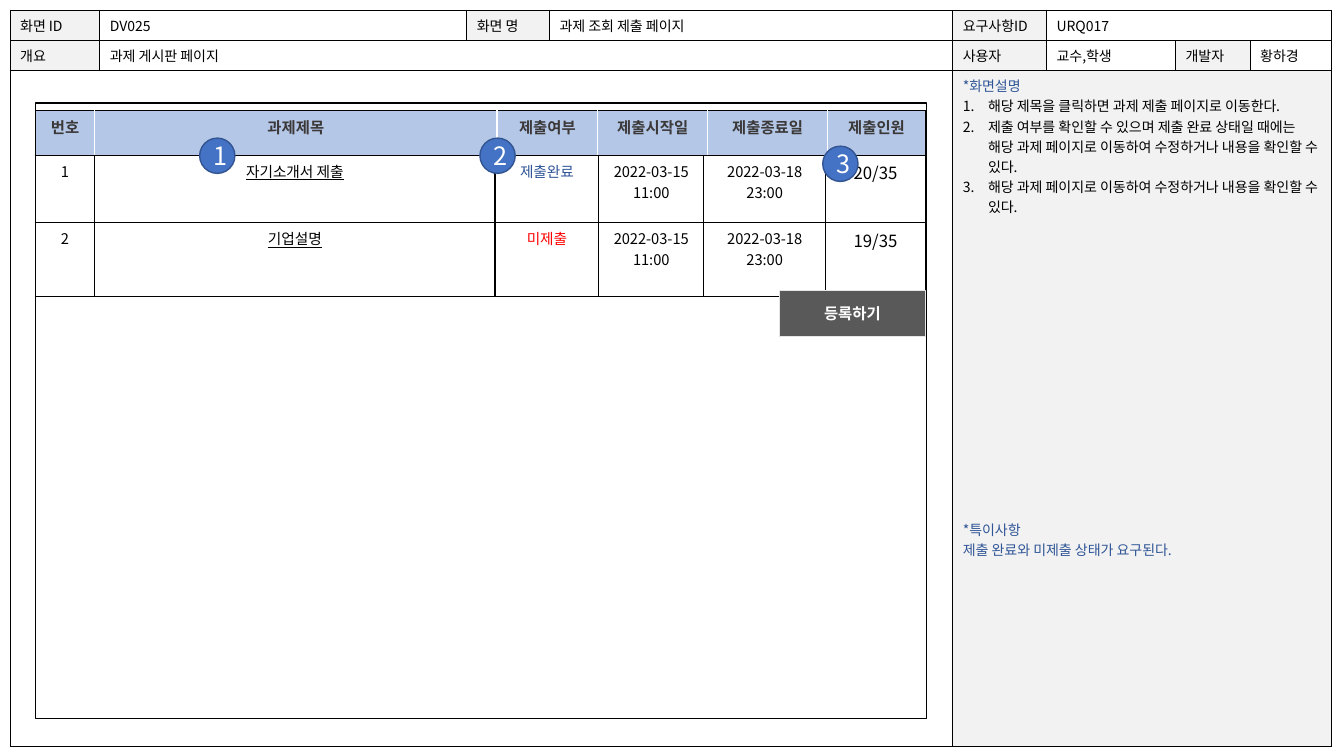
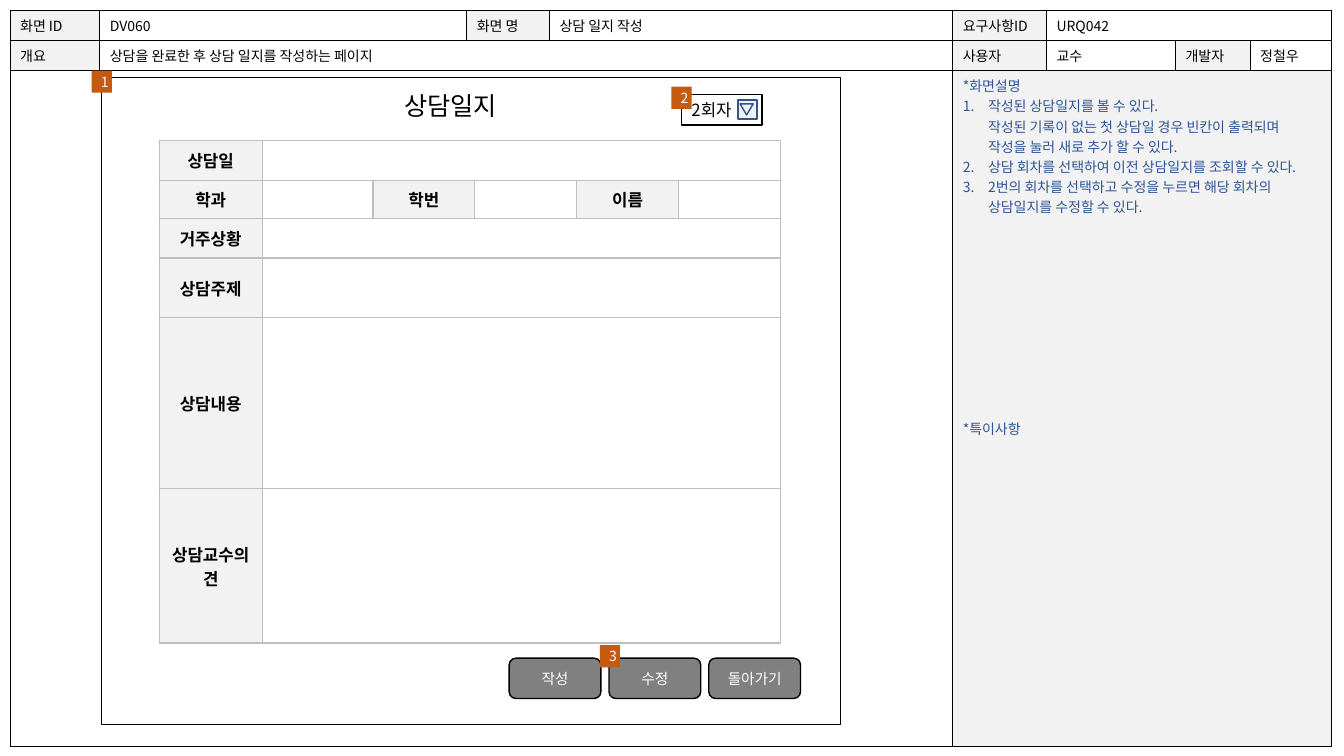
from dataclasses import dataclass

import lxml.etree
import pptx
import pptx.dml.color
import pptx.enum.shapes
import pptx.enum.text
import pptx.oxml.ns
import pptx.presentation
import pptx.shapes.autoshape
import pptx.slide
import pptx.table
import pptx.text.text
import pptx.util

Inches = pptx.util.Inches
Pt = pptx.util.Pt
qn = pptx.oxml.ns.qn
SHAPE = pptx.enum.shapes.MSO_SHAPE
ALIGN = pptx.enum.text.PP_ALIGN
ANCHOR = pptx.enum.text.MSO_ANCHOR

FONT = "Noto Sans CJK KR"
COLORS = {
    "black": "000000", "white": "FFFFFF", "panel": "F2F2F2", "note": "2F5597",
    "header": "B4C7E7", "header_text": "3B3838", "red": "FF0000",
    "circle": "4472C4", "circle_line": "325491", "submit": "595959",
    "submit_line": "E7E6E6", "button": "808080", "grid": "BFBFBF", "tag": "C55A11",
}
SIDES = ("L", "R", "T", "B")
FRAME_COLUMNS = (0.89, 3.64, 0.82, 4, 0.93, 1.28, 0.74, 0.81)
FRAME_ROWS = (0.28, 0.29, 6.7)


@dataclass(frozen=True)
class Style:
    size: float = 10
    color: str = "black"
    bold: bool = False
    underline: bool = False


@dataclass(frozen=True)
class Area:
    left: float
    top: float
    width: float
    height: float


@dataclass(frozen=True)
class Look:
    shape: SHAPE
    fill: str
    line: str | None
    style: Style = Style()
    left_margin: float = 0.1
    right_margin: float = 0.1
    align: ALIGN = ALIGN.CENTER


@dataclass(frozen=True)
class Screen:
    code: str
    name: str
    summary: str
    requirement: str
    users: str
    developer: str
    steps: tuple[str, ...]
    step_color: str
    remark_gap: float
    remarks: tuple[str, ...]


@dataclass(frozen=True)
class Assignment:
    number: str
    title: str
    status: str
    status_color: str
    start: str
    end: str
    count: str


CIRCLE = Look(SHAPE.OVAL, "circle", "circle_line", Style(18, "white"), 0.06, 0)
TAG = Look(SHAPE.RECTANGLE, "tag", None, Style(10, "white"), 0.06, 0)
PANEL = Look(SHAPE.RECTANGLE, "white", "black")
SUBMIT = Look(SHAPE.RECTANGLE, "submit", "submit_line", Style(11, "white", True))
BUTTON = Look(SHAPE.ROUNDED_RECTANGLE, "button", "black", Style(10.5, "white"))
PICKER = Look(SHAPE.RECTANGLE, "white", "black", Style(12), align=ALIGN.LEFT)
ARROW_BOX = Look(SHAPE.RECTANGLE, "panel", "circle_line")
ARROW = Look(SHAPE.ISOSCELES_TRIANGLE, "panel", "circle_line")

ASSIGNMENT_SCREEN = Screen(
    "DV025", "과제 조회 제출 페이지", "과제 게시판 페이지", "URQ017", "교수,학생", "황하경",
    (
        "해당 제목을 클릭하면 과제 제출 페이지로 이동한다.",
        "제출 여부를 확인할 수 있으며 제출 완료 상태일 때에는 해당 과제 페이지로 이동하여 수정하거나 내용을 확인할 수 있다.",
        "해당 과제 페이지로 이동하여 수정하거나 내용을 확인할 수 있다.",
    ),
    "black", 216, ("제출 완료와 미제출 상태가 요구된다.",),
)
COUNSEL_SCREEN = Screen(
    "DV060", "상담 일지 작성", "상담을 완료한 후 상담 일지를 작성하는 페이지", "URQ042", "교수", "정철우",
    (
        "작성된 상담일지를 볼 수 있다.\n작성된 기록이 없는 첫 상담일 경우 빈칸이 출력되며\n작성을 눌러 새로 추가 할 수 있다.",
        "상담 회차를 선택하여 이전 상담일지를 조회할 수 있다.",
        "2번의 회차를 선택하고 수정을 누르면 해당 회차의 상담일지를 수정할 수 있다.",
    ),
    "note", 144, (),
)
ASSIGNMENTS = (
    Assignment("1", "자기소개서 제출", "제출완료", "note", "2022-03-15 11:00", "2022-03-18 23:00", "20/35"),
    Assignment("2", "기업설명", "미제출", "red", "2022-03-15 11:00", "2022-03-18 23:00", "19/35"),
)
ASSIGNMENT_HEADERS = ("번호", "과제제목", "제출여부", "제출시작일", "제출종료일", "제출인원")
COUNSEL_ROWS = (
    ("상담일",), ("학과", "학번", "이름"), ("거주상황",), ("상담주제",), ("상담내용",), ("상담교수의견",),
)


def rgb(name: str) -> pptx.dml.color.RGBColor:
    return pptx.dml.color.RGBColor.from_string(COLORS[name])


def add_text(para: pptx.text.text._Paragraph, text: str, style: Style) -> None:
    for index, line in enumerate(text.split("\n")):
        if index:
            para.add_line_break()
            mark = lxml.etree.SubElement(para._p[-1], qn("a:rPr"))
            mark.set("sz", str(int(style.size * 100)))
        span = para.add_run()
        span.text = line
        span.font.size = Pt(style.size)
        span.font.bold = style.bold
        span.font.underline = style.underline
        span.font.color.rgb = rgb(style.color)
        span.font.name = FONT
        east_asian = lxml.etree.SubElement(span.font._element, qn("a:ea"))
        east_asian.set("typeface", FONT)


def add_box(page: pptx.slide.Slide, look: Look, area: Area, text: str = "") -> pptx.shapes.autoshape.Shape:
    box = page.shapes.add_shape(
        look.shape, Inches(area.left), Inches(area.top), Inches(area.width), Inches(area.height)
    )
    box.shadow.inherit = False
    box.fill.solid()
    box.fill.fore_color.rgb = rgb(look.fill)
    if look.line:
        box.line.color.rgb = rgb(look.line)
        box.line.width = Pt(1)
    else:
        box.line.fill.background()
    if text:
        frame = box.text_frame
        frame.word_wrap = False
        frame.vertical_anchor = ANCHOR.MIDDLE
        frame.margin_left = Inches(look.left_margin)
        frame.margin_right = Inches(look.right_margin)
        frame.paragraphs[0].alignment = look.align
        add_text(frame.paragraphs[0], text, look.style)
    return box


def set_borders(cell: pptx.table._Cell, colors: dict[str, str], width: float) -> None:
    properties = cell._tc.get_or_add_tcPr()
    for side in SIDES:
        line = lxml.etree.SubElement(properties, qn(f"a:ln{side}"), w=str(Pt(width)))
        fill = lxml.etree.SubElement(line, qn("a:solidFill"))
        lxml.etree.SubElement(fill, qn("a:srgbClr"), val=COLORS[colors[side]])


def add_grid(
    page: pptx.slide.Slide, left: float, top: float, columns: tuple[float, ...],
    rows: tuple[float, ...], border: str, width: float, inner: str | None = None,
) -> pptx.table.Table:
    table = page.shapes.add_table(
        len(rows), len(columns), Inches(left), Inches(top), Inches(sum(columns)), Inches(sum(rows))
    ).table
    table.first_row = False
    table.horz_banding = False
    for column, size in zip(table.columns, columns):
        column.width = Inches(size)
    last = len(columns) - 1
    for row, size in zip(table.rows, rows):
        row.height = Inches(size)
        for index, cell in enumerate(row.cells):
            colors = dict.fromkeys(SIDES, border)
            if inner and index > 0:
                colors["L"] = inner
            if inner and index < last:
                colors["R"] = inner
            set_borders(cell, colors, width)
            cell.fill.solid()
            cell.fill.fore_color.rgb = rgb("white")
            cell.margin_top = cell.margin_bottom = 0
    return table


def fill_cell(
    cell: pptx.table._Cell, text: str, style: Style, fill: str = "white",
    align: ALIGN = ALIGN.CENTER, anchor: ANCHOR = ANCHOR.TOP,
) -> None:
    cell.fill.fore_color.rgb = rgb(fill)
    cell.margin_top = cell.margin_bottom = Inches(0.05)
    cell.vertical_anchor = anchor
    para = cell.text_frame.paragraphs[0]
    para.alignment = align
    add_text(para, text, style)


def add_notes(cell: pptx.table._Cell, screen: Screen) -> None:
    fill_cell(cell, "*화면설명", Style(color="note"), "panel", ALIGN.LEFT)
    frame = cell.text_frame
    for step in screen.steps:
        para = frame.add_paragraph()
        properties = para._p.get_or_add_pPr()
        properties.set("marL", str(Inches(0.25)))
        properties.set("indent", str(Inches(-0.25)))
        lxml.etree.SubElement(properties, qn("a:buAutoNum"), type="arabicPeriod")
        add_text(para, step, Style(color=screen.step_color))
    for index, remark in enumerate(("*특이사항", *screen.remarks)):
        para = frame.add_paragraph()
        if index == 0:
            para.space_before = Pt(screen.remark_gap)
        add_text(para, remark, Style(color="note"))


def add_screen(deck: pptx.presentation.Presentation, layout: int, screen: Screen) -> pptx.slide.Slide:
    page = deck.slides.add_slide(deck.slide_layouts[layout])
    table = add_grid(page, 0.1, 0.1, FRAME_COLUMNS, FRAME_ROWS, "black", 0.5)
    for row, first, last in ((0, 5, 7), (1, 1, 3), (2, 0, 3), (2, 4, 7)):
        table.cell(row, first).merge(table.cell(row, last))
    fields = (
        (0, 0, "화면 ID", screen.code), (0, 2, "화면 명", screen.name),
        (0, 4, "요구사항ID", screen.requirement), (1, 0, "개요", screen.summary),
        (1, 4, "사용자", screen.users), (1, 6, "개발자", screen.developer),
    )
    for row, column, label, value in fields:
        fill_cell(table.cell(row, column), label, Style(), "panel", ALIGN.LEFT)
        fill_cell(table.cell(row, column + 1), value, Style(), align=ALIGN.LEFT)
    add_notes(table.cell(2, 4), screen)
    return page


def build_assignments(deck: pptx.presentation.Presentation) -> None:
    page = add_screen(deck, 6, ASSIGNMENT_SCREEN)
    add_box(page, PANEL, Area(0.35, 1.02, 8.84, 6.11))
    header = add_grid(page, 0.35, 1.1, (0.59, 3.99, 1, 1.09, 1.19, 0.97), (0.44,), "black", 1, "white")
    for column, label in enumerate(ASSIGNMENT_HEADERS):
        fill_cell(header.cell(0, column), label, Style(11, "header_text", True), "header")
    body = add_grid(page, 0.35, 1.54, (0.59, 3.97, 1.03, 1.04, 1.21, 0.99), (0.67, 0.73), "black", 1)
    plain = Style(10.5)
    for row, item in enumerate(ASSIGNMENTS):
        values = (
            (item.number, plain), (item.title, Style(10.5, underline=True)),
            (item.status, Style(10.5, item.status_color)),
            (item.start, plain), (item.end, plain), (item.count, Style(12)),
        )
        for column, (text, style) in enumerate(values):
            fill_cell(body.cell(row, column), text, style)
    for number, (left, top) in enumerate(((1.98, 1.37), (4.76, 1.37), (8.16, 1.45)), 1):
        add_box(page, CIRCLE, Area(left, top, 0.35, 0.35), str(number))
    add_box(page, SUBMIT, Area(7.73, 2.88, 1.45, 0.46), "등록하기")


def place_title(page: pptx.slide.Slide, text: str, area: Area) -> None:
    title = page.shapes.title
    title.left, title.top = Inches(area.left), Inches(area.top)
    title.width, title.height = Inches(area.width), Inches(area.height)
    frame = title.text_frame
    frame.auto_size = pptx.enum.text.MSO_AUTO_SIZE.NONE
    frame.word_wrap = False
    frame.vertical_anchor = ANCHOR.TOP
    frame.paragraphs[0].alignment = ALIGN.LEFT
    add_text(frame.paragraphs[0], text, Style(18))
    title.element.getparent().append(title.element)


def build_counsel(deck: pptx.presentation.Presentation) -> None:
    page = add_screen(deck, 5, COUNSEL_SCREEN)
    add_box(page, PANEL, Area(1.01, 0.77, 7.33, 6.42))
    place_title(page, "상담일지", Area(3.91, 0.85, 1.21, 0.4))
    form = add_grid(
        page, 1.58, 1.39, (1.02, 1.1, 1.01, 1.01, 1.01, 1.01), (0.4, 0.38, 0.39, 0.59, 1.7, 1.53), "grid", 1
    )
    for row, labels in enumerate(COUNSEL_ROWS):
        if len(labels) == 1:
            form.cell(row, 1).merge(form.cell(row, 5))
        for index, label in enumerate(labels):
            fill_cell(form.cell(row, index * 2), label, Style(12, bold=True), "panel", anchor=ANCHOR.MIDDLE)
    for index, label in enumerate(("작성", "수정", "돌아가기")):
        add_box(page, BUTTON, Area(5.05 + index * 0.99, 6.53, 0.91, 0.4), label)
    add_box(page, PICKER, Area(6.76, 0.94, 0.8, 0.3), "2회자")
    add_box(page, ARROW_BOX, Area(7.32, 0.99, 0.19, 0.19))
    add_box(page, ARROW, Area(7.34, 1.03, 0.13, 0.11)).rotation = 180
    for number, (left, top) in enumerate(((0.91, 0.7), (6.66, 0.86), (5.95, 6.4)), 1):
        add_box(page, TAG, Area(left, top, 0.2, 0.22), str(number))


def main() -> None:
    deck = pptx.Presentation()
    deck.slide_width, deck.slide_height = Inches(13.33), Inches(7.5)
    build_assignments(deck)
    build_counsel(deck)
    deck.save("out.pptx")


if __name__ == "__main__":
    main()
